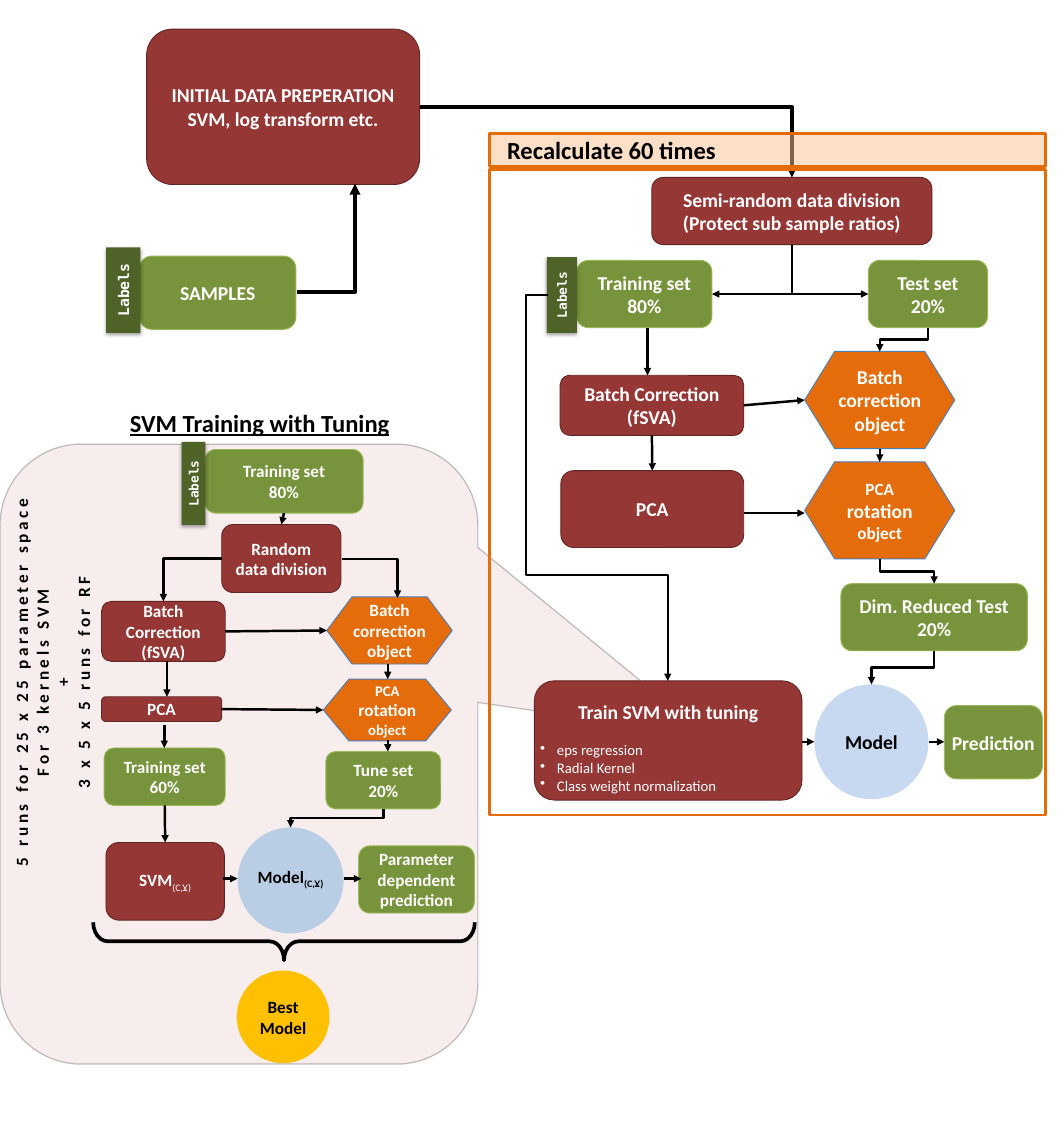
from lxml import etree
from pptx import Presentation
from pptx import util as u
from pptx.dml.color import RGBColor
from pptx.enum import shapes, text
from pptx.oxml import ns

PX = 9144
WHITE = RGBColor(0xFF, 0xFF, 0xFF)
BLACK = RGBColor(0, 0, 0)
RED = RGBColor(0x95, 0x37, 0x35)
DARK_RED = RGBColor(0x63, 0x25, 0x23)
GREEN = RGBColor(0x77, 0x93, 0x3C)
LIGHT_GREEN = RGBColor(0x98, 0xB9, 0x55)
DARK_GREEN = RGBColor(0x4F, 0x62, 0x28)
ORANGE = RGBColor(0xE4, 0x6C, 0x0A)
PEACH = RGBColor(0xFA, 0xC0, 0x90)
BLUE = RGBColor(0x4B, 0x7E, 0xBC)
PALE_BLUE = RGBColor(0xC6, 0xD9, 0xF1)
SOFT_BLUE = RGBColor(0xB9, 0xCD, 0xE5)
PINK = RGBColor(0xE6, 0xB9, 0xB8)
GOLD = RGBColor(0xFF, 0xC0, 0x00)

KIND = shapes.MSO_SHAPE
ROUNDED = KIND.FLOWCHART_ALTERNATE_PROCESS
TOP, LEFT, BOTTOM, RIGHT = range(4)
SLIM = (0, 5, 0, 5)


def add_node(parent, tag, **attributes):
    node = etree.SubElement(parent, ns.qn(tag))
    for name, value in attributes.items():
        node.set(name, str(value))
    return node


def set_alpha(fill_owner, percent):
    color = next(fill_owner.iter(ns.qn("a:srgbClr")))
    add_node(color, "a:alpha", val=percent * 1000)


class Diagram:
    def __init__(self, slide, font="Calibri"):
        self.slide = slide
        self.font = font

    def shape(self, kind, place, fill=None, line=None, weight=0.75):
        shape = self.slide.shapes.add_shape(kind, *(n * PX for n in place))
        shape.shadow.inherit = False
        if fill is None:
            shape.fill.background()
        else:
            shape.fill.solid()
            shape.fill.fore_color.rgb = fill
        if line is None:
            shape.line.fill.background()
        else:
            shape.line.color.rgb = line
            shape.line.width = u.Pt(weight)
        return shape

    def put_text(self, shape, lines, size=16, color=WHITE, insets=(10, 5, 10, 5),
                 align=text.PP_ALIGN.CENTER, anchor=text.MSO_ANCHOR.MIDDLE, font=None):
        frame = shape.text_frame
        frame.word_wrap = True
        frame.vertical_anchor = anchor
        (frame.margin_left, frame.margin_top,
         frame.margin_right, frame.margin_bottom) = (n * PX for n in insets)
        frame.text = "\n".join(lines)
        for paragraph in frame.paragraphs:
            paragraph.alignment = align
            paragraph.font.name = font or self.font
            paragraph.font.size = u.Pt(size)
            paragraph.font.bold = True
            paragraph.font.color.rgb = color
        return shape

    def add_words(self, shape, words, size=None, bold=None, baseline=None):
        run = shape.text_frame.paragraphs[-1].add_run()
        run.text = words
        run.font.bold = bold
        if size:
            run.font.size = u.Pt(size)
        if baseline:
            run.font._element.set("baseline", str(baseline * 1000))

    def process(self, place, *lines, **style):
        return self.put_text(self.shape(ROUNDED, place, RED, DARK_RED), lines, **style)

    def data(self, place, *lines, **style):
        return self.put_text(self.shape(ROUNDED, place, GREEN, LIGHT_GREEN), lines, **style)

    def result(self, place, *lines, **style):
        hexagon = self.shape(KIND.FLOWCHART_PREPARATION, place, ORANGE, BLUE)
        return self.put_text(hexagon, lines, **style)

    def rotation_result(self, place, size):
        hexagon = self.result(place, "PCA\v", size=size)
        self.add_words(hexagon, "rotation", size + 2)
        self.add_words(hexagon, " object")
        return hexagon

    def circle(self, place, fill, *lines, **style):
        return self.put_text(self.shape(KIND.OVAL, place, fill), lines, color=BLACK, **style)

    def label(self, place, size):
        tag = self.shape(KIND.RECTANGLE, place, DARK_GREEN)
        tag.rotation = 270
        effects = tag._element.spPr.find(ns.qn("a:effectLst"))
        shadow = add_node(effects, "a:outerShdw", blurRad=39370, dist=22860,
                          dir=5400000, rotWithShape=0)
        add_node(add_node(shadow, "a:srgbClr", val="000000"), "a:alpha", val=35000)
        self.put_text(tag, ["Labels"], size=size, font="DejaVu Sans Mono")

    def caption(self, place, *lines, **style):
        box = self.slide.shapes.add_textbox(*(n * PX for n in place))
        return self.put_text(box, lines, color=BLACK, anchor=text.MSO_ANCHOR.TOP, **style)

    def point(self, item, weight):
        item.line.color.rgb = BLACK
        item.line.width = u.Pt(weight)
        add_node(item.line._get_or_add_ln(), "a:tailEnd", type="triangle")

    def arrow(self, begin, end, kind=shapes.MSO_CONNECTOR.STRAIGHT, weight=2):
        ends = (n * PX for n in (*begin, *end))
        connector = self.slide.shapes.add_connector(kind, *ends)
        self.point(connector, weight)
        add_node(connector._element.spPr, "a:effectLst")
        return connector

    def join(self, start, start_side, end, end_side, **style):
        connector = self.arrow((0, 0), (1, 1), **style)
        connector.begin_connect(start, start_side)
        connector.end_connect(end, end_side)
        return connector

    def elbow(self, start, start_side, end, end_side, weight=2):
        connector = self.join(start, start_side, end, end_side,
                              kind=shapes.MSO_CONNECTOR.ELBOW, weight=weight)
        properties = connector._element.spPr
        if start_side % 2 != end_side % 2:
            properties.find(ns.qn("a:prstGeom")).set("prst", "bentConnector2")
        if start_side in (TOP, BOTTOM):
            across = connector.end_x - connector.begin_x
            down = connector.end_y - connector.begin_y
            middle_x = (connector.begin_x + connector.end_x) // 2
            middle_y = (connector.begin_y + connector.end_y) // 2
            connector.left, connector.width = middle_x - down // 2, down
            connector.top, connector.height = middle_y - abs(across) // 2, abs(across)
            frame = properties.find(ns.qn("a:xfrm"))
            frame.set("rot", "16200000" if across > 0 else "5400000")
            frame.set("flipH", "1" if across > 0 else "0")

    def route(self, *points, weight=2):
        first, *rest = [(x * PX, y * PX) for x, y in points]
        builder = self.slide.shapes.build_freeform(*first)
        builder.add_line_segments(rest, close=False)
        line = builder.convert_to_shape()
        line.shadow.inherit = False
        line.fill.background()
        self.point(line, weight)


def draw_preparation(diagram):
    initial = diagram.process((166, 33, 309, 176), "INITIAL DATA PREPERATION",
                              "SVM, log transform etc.")
    diagram.data((158, 290, 177, 83), "SAMPLES")
    diagram.label((91, 309, 97, 39), 12)
    diagram.route((336, 331), (402, 331), (402, 208), weight=3)
    return initial


def draw_recalculation(diagram, initial):
    division = diagram.process((738, 201, 317, 76), "Semi-random data division",
                               "(Protect sub sample ratios)")
    diagram.elbow(initial, RIGHT, division, TOP, weight=3)
    diagram.shape(KIND.RECTANGLE, (554, 192, 630, 731), None, ORANGE, 2.25)
    header = diagram.shape(KIND.RECTANGLE, (554, 151, 630, 38), PEACH, ORANGE, 2.25)
    set_alpha(header._element.spPr.find(ns.qn("a:solidFill")), 50)
    diagram.put_text(header, ["Recalculate 60 times"], size=20, color=BLACK,
                     insets=(20, 5, 10, 5), align=text.PP_ALIGN.LEFT)

    training = diagram.data((653, 295, 153, 76), "Training set\v80%")
    test = diagram.data((983, 295, 135, 76), "Test set\v20%")
    batch = diagram.process((634, 425, 208, 68), "Batch Correction (fSVA)")
    batch_object = diagram.result((911, 398, 170, 110), "Batch\vcorrection object", insets=SLIM)
    pca = diagram.process((635, 533, 207, 87), "PCA")
    rotation = diagram.rotation_result((911, 523, 170, 110), 14)
    reduced = diagram.data((952, 661, 211, 76), "Dim. Reduced Test", "20%")
    model = diagram.circle((922, 775, 129, 130), PALE_BLUE, "Model")
    diagram.data((1069, 799, 111, 83), "Prediction", insets=(2, 5, 2, 5))
    train = diagram.process((605, 771, 303, 135), "Train SVM with tuning", "eps regression",
                            "Radial Kernel", "Class weight normalization",
                            insets=(0, 5, 0, 0), anchor=text.MSO_ANCHOR.BOTTOM)
    title, *options = train.text_frame.paragraphs
    title.space_after = u.Pt(14.4)
    for option in options:
        option.alignment = text.PP_ALIGN.LEFT
        option.font.size = u.Pt(12)
        option.font.bold = False
        properties = option._p.get_or_add_pPr()
        properties.set("marL", str(19 * PX))
        properties.set("indent", str(-19 * PX))
        bullet = etree.Element(ns.qn("a:buChar"), char="•")
        properties.find(ns.qn("a:defRPr")).addprevious(bullet)
    diagram.label((593, 317, 86, 34), 10.5)

    diagram.elbow(division, BOTTOM, training, RIGHT)
    diagram.elbow(division, BOTTOM, test, LEFT)
    diagram.elbow(test, BOTTOM, batch_object, TOP)
    diagram.elbow(rotation, BOTTOM, reduced, TOP)
    diagram.elbow(reduced, BOTTOM, model, TOP)
    diagram.join(batch, BOTTOM, pca, TOP)
    diagram.join(batch, RIGHT, batch_object, LEFT)
    diagram.join(batch_object, BOTTOM, rotation, TOP)
    for begin, end in (((733, 371), (733, 425)), ((842, 581), (911, 581)),
                       ((908, 840), (922, 840)), ((1052, 840), (1069, 840))):
        diagram.arrow(begin, end)
    diagram.route((620, 334), (595, 334), (595, 651), (756, 651), (756, 771), weight=1.5)


def draw_tuning(diagram):
    training = diagram.data((232, 509, 179, 72), "Training set\v80%", size=14, insets=SLIM)
    diagram.label((172, 534, 94, 27), 10.5)
    division = diagram.process((251, 594, 135, 77), "Random data division", size=14)
    batch = diagram.process((115, 681, 140, 68), "Batch Correction (fSVA)", size=14)
    batch_object = diagram.result((370, 676, 142, 76), "Batch\vcorrection object",
                                  size=14, insets=SLIM)
    pca = diagram.process((115, 789, 136, 28), "PCA", size=14)
    rotation = diagram.rotation_result((366, 769, 145, 70), 12)
    subset = diagram.data((118, 847, 137, 65), "Training set\v60%", size=14)
    tune = diagram.data((369, 851, 130, 65), "Tune set\v20%", size=14)
    svm = diagram.process((120, 954, 134, 88), "SVM", size=14, insets=SLIM)
    diagram.add_words(svm, "(C,Ɣ)", bold=False, baseline=-25)
    model = diagram.circle((269, 937, 120, 120), SOFT_BLUE, "Model", size=14, insets=(0, 0, 0, 5))
    diagram.add_words(model, "(C,Ɣ)", baseline=-25)
    diagram.data((406, 958, 131, 76), "Parameter dependent prediction", size=14, insets=SLIM)

    diagram.join(training, BOTTOM, division, TOP)
    diagram.elbow(division, LEFT, batch, TOP)
    diagram.route((387, 633), (450, 633), (450, 677))
    diagram.join(batch, RIGHT, batch_object, LEFT)
    diagram.join(pca, RIGHT, rotation, LEFT)
    diagram.join(subset, BOTTOM, svm, TOP)
    diagram.elbow(tune, BOTTOM, model, TOP)
    for begin, end in (((189, 749), (189, 789)), ((439, 752), (439, 769)),
                       ((186, 821), (186, 847)), ((439, 838), (439, 851)),
                       ((252, 995), (269, 995)), ((389, 995), (409, 995))):
        diagram.arrow(begin, end)

    brace = diagram.shape(KIND.RIGHT_BRACE, (300, 850, 43, 432), None, BLACK, 3)
    brace.rotation = 90
    brace.adjustments[0] = 0.38
    diagram.circle((268, 1099, 105, 105), GOLD, "Best", "Model", size=14)
    heading = diagram.caption((120, 457, 348, 44), "SVM Training with Tuning", size=20)
    heading.text_frame.paragraphs[0].font.underline = True
    runs = diagram.caption((-211, 721, 541, 104), "5 runs for 25 x 25 parameter space",
                           "For 3 kernels SVM", "+", "3 x 5 x 5 runs for RF", size=14)
    runs.rotation = 270
    for paragraph in runs.text_frame.paragraphs:
        paragraph.font._element.set("spc", "300")


def main():
    presentation = Presentation()
    presentation.slide_width, presentation.slide_height = 1200 * PX, 1300 * PX
    diagram = Diagram(presentation.slides.add_slide(presentation.slide_layouts[6]))
    callout = diagram.shape(KIND.ROUNDED_RECTANGULAR_CALLOUT, (0, 503, 541, 702), PINK, BLACK, 1)
    for index, value in enumerate((0.98, -0.03, 0.17)):
        callout.adjustments[index] = value
    set_alpha(callout._element.spPr.find(ns.qn("a:solidFill")), 25)
    set_alpha(callout.line._get_or_add_ln(), 24)
    initial = draw_preparation(diagram)
    draw_recalculation(diagram, initial)
    draw_tuning(diagram)
    presentation.save("out.pptx")


if __name__ == "__main__":
    main()
